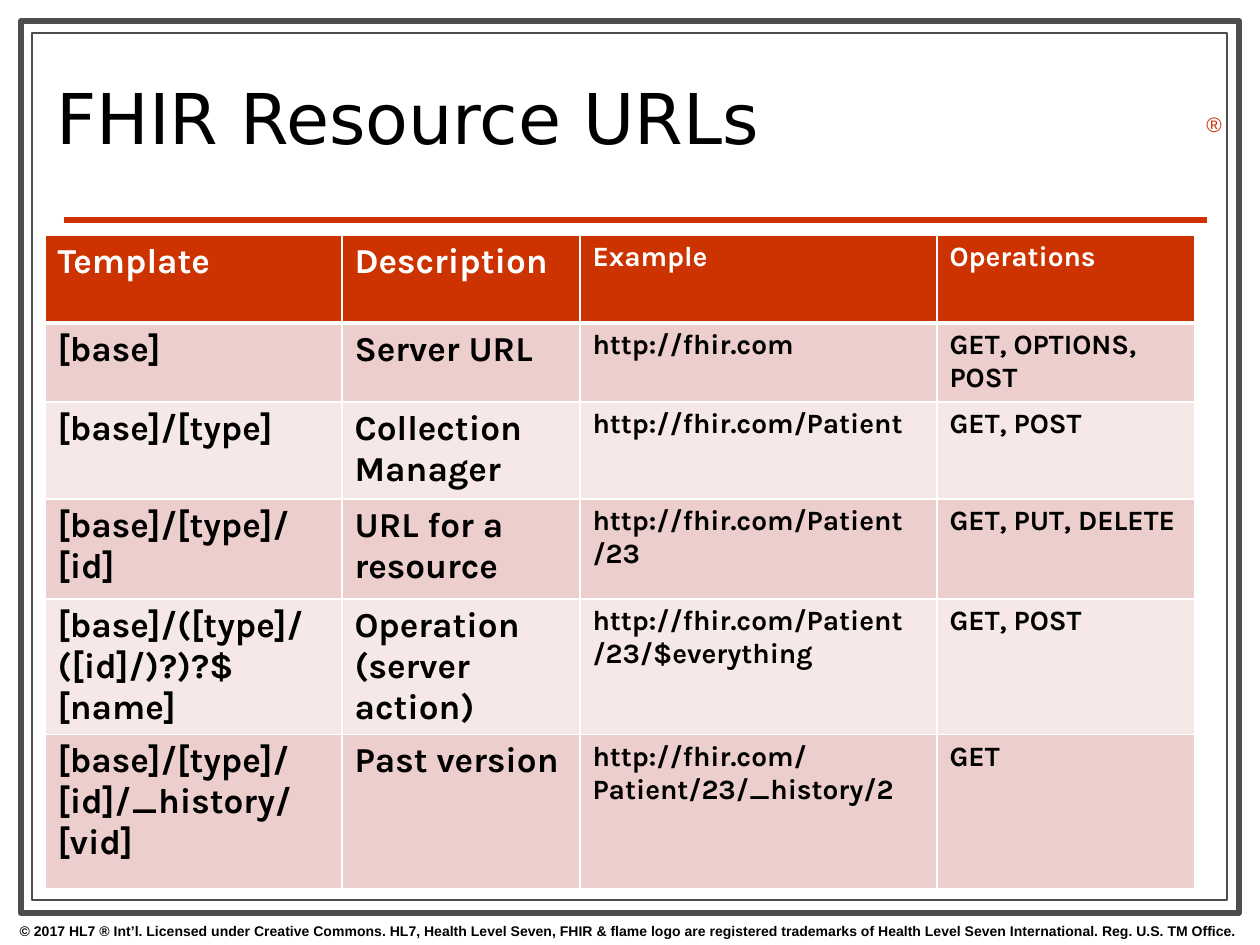
from lxml import etree
from pptx import Presentation
from pptx.dml.color import RGBColor
from pptx.enum import shapes, text
from pptx.oxml.ns import qn
from pptx.util import Pt

PX = 914400 // 126
BLACK = RGBColor(0, 0, 0)
WHITE = RGBColor(255, 255, 255)
GREY = RGBColor(0x4D, 0x4D, 0x4D)
RED = RGBColor(0xCC, 0x33, 0x00)
BANDS = [RGBColor(0xEC, 0xCE, 0xCC), RGBColor(0xF6, 0xE8, 0xE7)]

TITLE = "FHIR Resource URLs"
COPYRIGHT = (
    "© 2017 HL7 ® Int’l. Licensed under Creative Commons. HL7, Health Level Seven, "
    "FHIR & flame logo are registered trademarks of Health Level Seven International. "
    "Reg. U.S. TM Office."
)
FRAMES = [((21, 21, 1218, 892), 3.5), ((32, 33, 1195, 867), 0.75)]

# Each cell is a list of paragraphs, each paragraph a list of lines
ROWS = [
    ("Template", "Description", "Example", "Operations"),
    ("[base]", "Server URL", "http://fhir.com", "GET, OPTIONS, POST"),
    ("[base]/[type]", "Collection Manager", "http://fhir.com/Patient", "GET, POST"),
    ("[base]/[type]/[id]", "URL for a resource",
     [["http://fhir.com/Patient"], ["/23"]], "GET, PUT, DELETE"),
    ("[base]/([type]/([id]/)?)?$[name]", "Operation (server action)",
     [["http://fhir.com/Patient", "/23/$everything"]], "GET, POST"),
    ("[base]/[type]/[id]/_history/[vid]", "Past version",
     "http://fhir.com/Patient/23/_history/2", "GET"),
]
COLUMN_WIDTHS = [297, 238, 357, 258]
ROW_HEIGHTS = [88, 79, 97, 100, 100, 154]
COLUMN_SIZES = [20, 20, 16, 16]


def place(*lengths):
    return [length * PX for length in lengths]


def add_span(para, words, font, size, color, bold=False):
    span = para.add_run()
    span.text = words
    span.font.name = font
    span.font.size = Pt(size)
    span.font.bold = bold
    span.font.color.rgb = color


def add_label(page, area, words, size, color, align, bold=False):
    box = page.shapes.add_textbox(*place(*area))
    box.text_frame.word_wrap = True
    para = box.text_frame.paragraphs[0]
    para.alignment = align
    add_span(para, words, "Arial", size, color, bold)


def add_borders(cell, bottom):
    properties = cell._tc.get_or_add_tcPr()
    for side, points in (("L", 1), ("R", 1), ("T", 1), ("B", bottom)):
        line = etree.SubElement(properties, qn("a:ln" + side), w=str(Pt(points)))
        fill = etree.SubElement(line, qn("a:solidFill"))
        etree.SubElement(fill, qn("a:srgbClr"), val=str(WHITE))


def fill_cell(cell, content, size, row):
    add_borders(cell, 1 if row else 3)
    cell.fill.solid()
    cell.fill.fore_color.rgb = BANDS[(row - 1) % 2] if row else RED
    paragraphs = [[content]] if isinstance(content, str) else content
    for i, lines in enumerate(paragraphs):
        frame = cell.text_frame
        para = frame.add_paragraph() if i else frame.paragraphs[0]
        for j, line in enumerate(lines):
            if j:
                para.add_line_break()
            add_span(para, line, "Karla", size, BLACK if row else WHITE, True)


def main():
    deck = Presentation()
    deck.slide_width, deck.slide_height = place(1260, 945)
    page = deck.slides.add_slide(deck.slide_layouts[5])

    # Double frame
    for area, weight in FRAMES:
        frame = page.shapes.add_shape(shapes.MSO_SHAPE.RECTANGLE, *place(*area))
        frame.shadow.inherit = False
        frame.fill.solid()
        frame.fill.fore_color.rgb = WHITE
        frame.line.color.rgb = GREY
        frame.line.width = Pt(weight)

    # Rule under the title
    rule = page.shapes.add_connector(
        shapes.MSO_CONNECTOR.STRAIGHT, *place(64, 220, 1207, 220))
    rule.line.color.rgb = RED
    rule.line.width = Pt(3)
    etree.SubElement(rule._element.spPr, qn("a:effectLst"))

    # Copyright line and trademark sign
    add_label(page, (-1, 916, 1260, 29), COPYRIGHT, 8, BLACK, text.PP_ALIGN.CENTER, True)
    add_label(page, (1194, 105, 39, 38), "®", 12, RED, text.PP_ALIGN.LEFT)

    # Title, brought in front of the frame
    title = page.shapes.title
    page.shapes._spTree.append(title._element)
    title.left, title.top, title.width, title.height = place(44, 45, 903, 159)
    title.text_frame.vertical_anchor = text.MSO_ANCHOR.MIDDLE
    title.text_frame.word_wrap = True
    para = title.text_frame.paragraphs[0]
    para.alignment = text.PP_ALIGN.LEFT
    para.line_spacing = 0.8
    add_span(para, TITLE, "DejaVu Sans", 40, BLACK)

    # Table of URL templates
    table = page.shapes.add_table(
        len(ROWS), len(COLUMN_WIDTHS),
        *place(45, 235, sum(COLUMN_WIDTHS), sum(ROW_HEIGHTS))).table
    for column, width in zip(table.columns, COLUMN_WIDTHS):
        column.width = width * PX
    for r, (contents, height) in enumerate(zip(ROWS, ROW_HEIGHTS)):
        table.rows[r].height = height * PX
        for c, (content, size) in enumerate(zip(contents, COLUMN_SIZES)):
            fill_cell(table.cell(r, c), content, size, r)

    deck.save("out.pptx")


if __name__ == "__main__":
    main()
